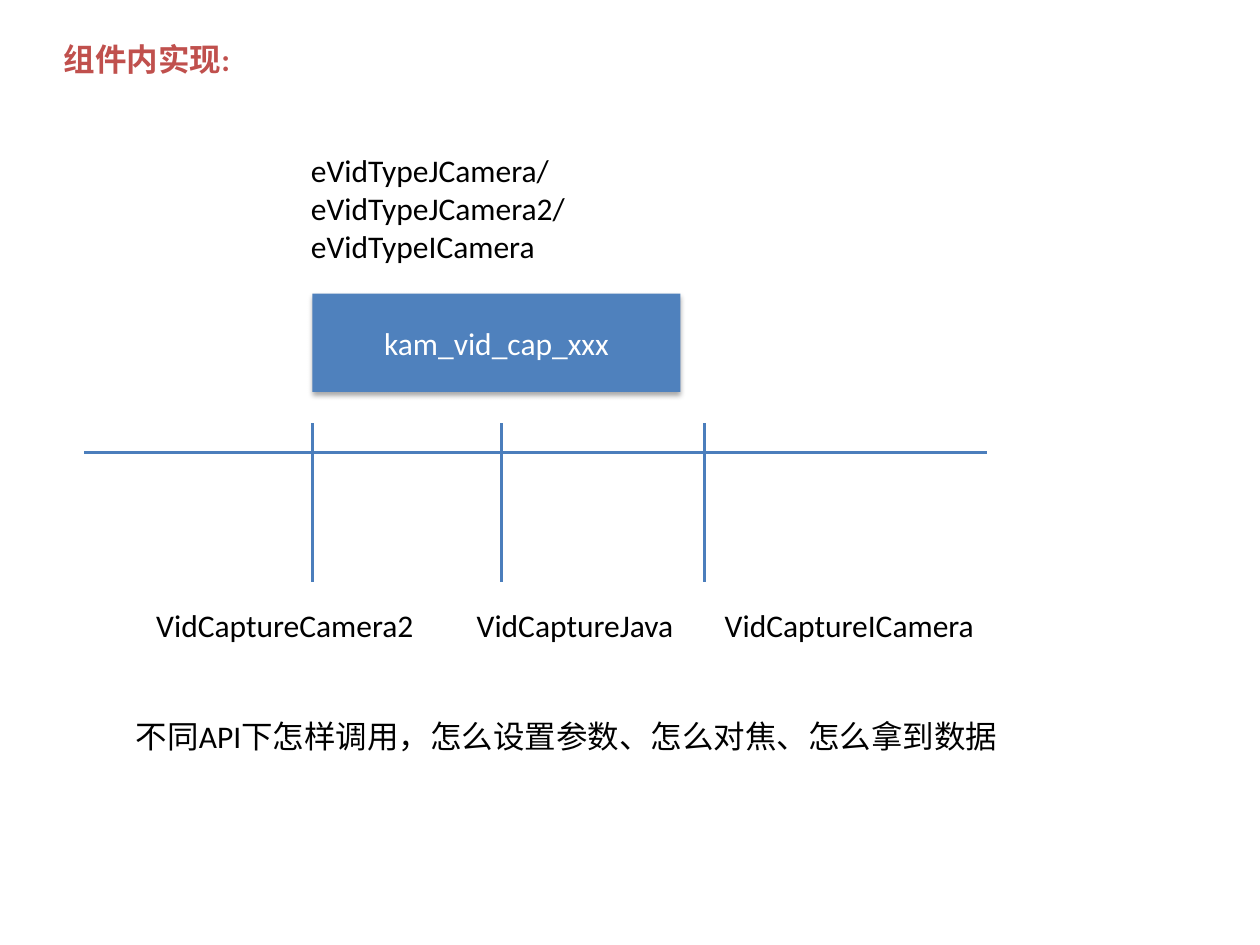
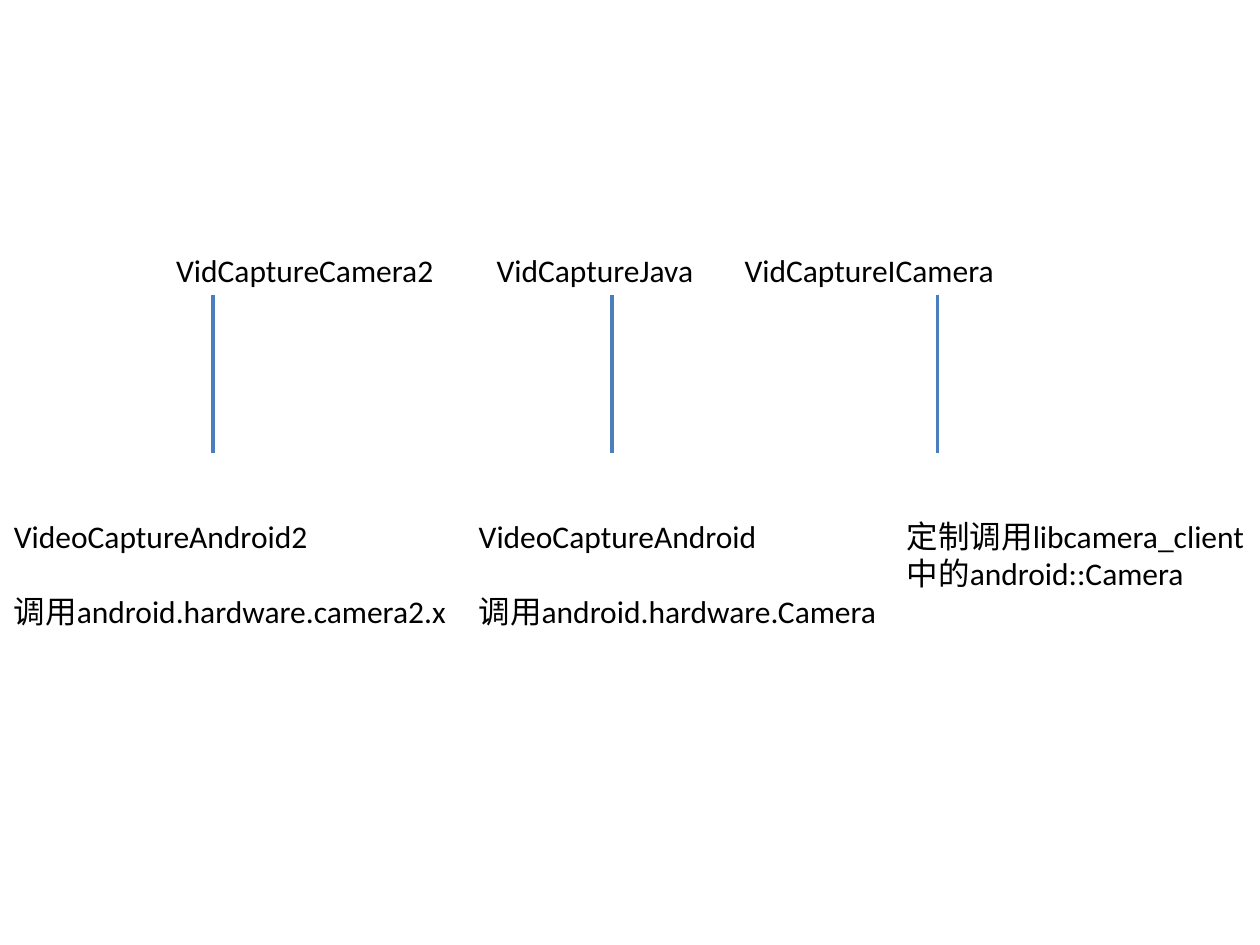
from lxml.etree import SubElement
from pptx import Presentation
from pptx.dml.color import RGBColor
from pptx.enum.shapes import MSO_CONNECTOR, MSO_SHAPE
from pptx.enum.text import MSO_ANCHOR, MSO_AUTO_SIZE, PP_ALIGN
from pptx.oxml import parse_xml
from pptx.oxml.ns import qn
from pptx.util import Cm, Pt

rgb = RGBColor.from_string
BLUE, LINE, RED, BLACK, WHITE = "4F81BD", "4B7EBC", "C0504D", "000000", "FFFFFF"
FONT, SIZE = "Calibri", Pt(18)
LINE_LENGTH = 3.2
CLASSES = [
    ("VidCaptureCamera2", 2.9, 5.77),
    ("VidCaptureJava", 9.36, 4.53),
    ("VidCaptureICamera", 14.36, 5.6),
]
SHADOW = """<a:effectLst xmlns:a="http://schemas.openxmlformats.org/drawingml/2006/main">
<a:outerShdw blurRad="39370" dist="22860" dir="5400000" rotWithShape="0">
<a:srgbClr val="000000"><a:alpha val="35000"/></a:srgbClr></a:outerShdw></a:effectLst>"""


def add_text(s, x, y, w, h, lines, color=BLACK, bold=False, gap=0):
    sp = s.shapes.add_textbox(Cm(x), Cm(y), Cm(w), Cm(h))
    tf = sp.text_frame
    tf.word_wrap = True
    tf.auto_size = MSO_AUTO_SIZE.SHAPE_TO_FIT_TEXT
    for i, line in enumerate(lines):
        p = tf.paragraphs[0] if i == 0 else tf.add_paragraph()
        if i and gap:
            p.space_before = Pt(gap)
        r = p.add_run()
        r.text = line
        r.font.name, r.font.size, r.font.bold = FONT, SIZE, bold
        r.font.color.rgb = rgb(color)


def add_line(s, x1, y1, x2, y2):
    c = s.shapes.add_connector(MSO_CONNECTOR.STRAIGHT, Cm(x1), Cm(y1), Cm(x2), Cm(y2))
    c.line.color.rgb = rgb(LINE)
    c.line.width = Pt(2)
    SubElement(c._element.spPr, qn("a:effectLst"))


prs = Presentation()
prs.slide_width, prs.slide_height = Cm(25.4), Cm(19.05)
blank = prs.slide_layouts[6]

s = prs.slides.add_slide(blank)
add_text(s, 1.04, 0.69, 5, 1.03, ["组件内实现:"], RED, True)

sp = s.shapes.add_shape(MSO_SHAPE.RECTANGLE, Cm(6.3), Cm(5.92), Cm(7.42), Cm(1.98))
sp.fill.solid()
sp.fill.fore_color.rgb = rgb(BLUE)
sp.line.fill.background()
sp._element.spPr.append(parse_xml(SHADOW))
tf = sp.text_frame
tf.vertical_anchor = MSO_ANCHOR.MIDDLE
p = tf.paragraphs[0]
p.alignment = PP_ALIGN.CENTER
r = p.add_run()
r.text = "kam_vid_cap_xxx"
r.font.name, r.font.size = FONT, SIZE
r.font.color.rgb = rgb(WHITE)

add_text(s, 6.02, 2.92, 5.7, 2.57, ["eVidTypeJCamera/", "eVidTypeJCamera2/", "eVidTypeICamera"])
add_line(s, 1.7, 9.12, 19.89, 9.12)
for x in (6.3, 10.11, 14.2):
    add_line(s, x, 8.53, x, 8.53 + LINE_LENGTH)
for name, x, w in CLASSES:
    add_text(s, x, 12.09, w, 1.03, [name])
add_text(s, 2.49, 14.33, 18.03, 1.03, ["不同API下怎样调用，怎么设置参数、怎么对焦、怎么拿到数据"])

s = prs.slides.add_slide(blank)
for name, x, w in CLASSES:
    add_text(s, x + 0.4, 4.93, w, 1.03, [name])
for x in (4.29, 12.34, 18.9):
    add_line(s, x, 5.94, x, 5.94 + LINE_LENGTH)
for x, w, h, gap, lines in [
    (9.4, 8.55, 2.57, 21.6, ["VideoCaptureAndroid", "调用android.hardware.Camera"]),
    (0.03, 9.25, 2.57, 21.6, ["VideoCaptureAndroid2", "调用android.hardware.camera2.x"]),
    (18.03, 7.35, 1.8, 0, ["定制调用libcamera_client", "中的android::Camera"]),
]:
    add_text(s, x, 10.29, w, h, lines, gap=gap)

prs.save("out.pptx")
